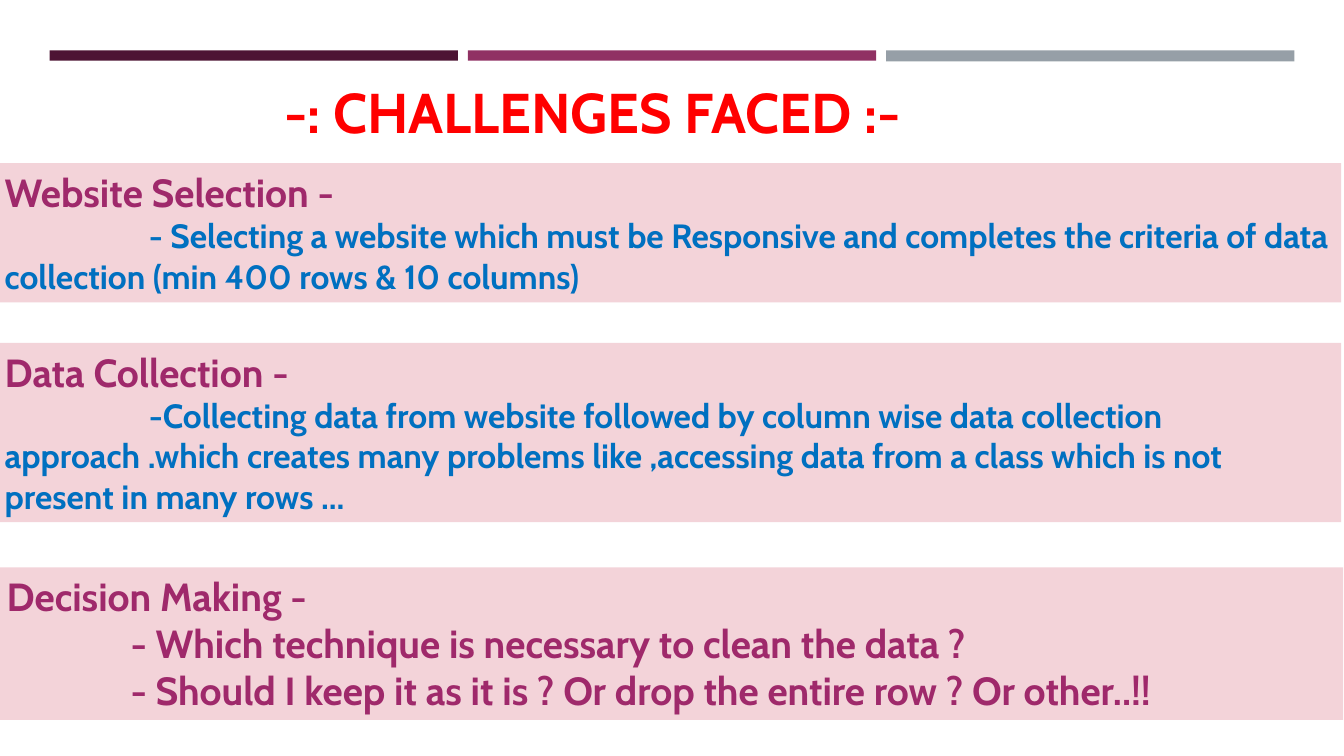
import dataclasses

import pptx
import pptx.dml.color
import pptx.enum.shapes
import pptx.enum.text
import pptx.util

Cm = pptx.util.Cm
Pt = pptx.util.Pt
FONT = "Cabin"
RED, PLUM, BLUE, PINK = "FF0000", "9F296B", "0070C0", "F3D3D9"


@dataclasses.dataclass
class Bar:
    color: str
    height: float


@dataclasses.dataclass
class Panel:
    heading: str
    details: list[str]
    left: float
    top: float
    height: float
    indent: float
    detail_size: int = 24
    detail_color: str = BLUE
    right_inset: float = 0.25


BARS = [Bar("4D1434", 0.26), Bar("903163", 0.26), Bar("969FA7", 0.28)]
BAR_LEFT, BAR_STEP, BAR_WIDTH, BAR_TOP = 1.25, 10.54, 10.29, 1.27
PANEL_WIDTH = 33.93

PANELS = [
    Panel(
        "Website Selection -",
        ["- Selecting a website which must be Responsive and completes the criteria "
         "of data collection (min 400 rows & 10 columns)"],
        left=-0.13, top=4.11, height=3.51, indent=3.63,
    ),
    Panel(
        "Data Collection -",
        ["-Collecting data from website followed by column wise data collection "
         "approach .which creates many problems like ,accessing data from a class "
         "which is not present in many rows ..."],
        left=-0.13, top=8.64, height=4.52, indent=3.63, right_inset=1.5,
    ),
    Panel(
        "Decision Making -",
        ["- Which technique is necessary to clean the data ?",
         "- Should I keep it as it is ? Or drop the entire row ? Or other..!!"],
        left=-0.08, top=14.3, height=3.84, indent=3.12,
        detail_size=28, detail_color=PLUM,
    ),
]


def rgb(color: str) -> pptx.dml.color.RGBColor:
    return pptx.dml.color.RGBColor.from_string(color)


def format_paragraph(para, size: int, color: str) -> None:
    para.alignment = pptx.enum.text.PP_ALIGN.LEFT
    for span in para.runs:
        span.font.name = FONT
        span.font.size = Pt(size)
        span.font.bold = True
        span.font.color.rgb = rgb(color)


def prepare_frame(frame, right_inset: float = 0.25) -> None:
    frame.word_wrap = True
    frame.auto_size = pptx.enum.text.MSO_AUTO_SIZE.NONE
    frame.vertical_anchor = pptx.enum.text.MSO_ANCHOR.TOP
    frame.margin_left = Cm(0.25)
    frame.margin_right = Cm(right_inset)
    frame.margin_top = frame.margin_bottom = Cm(0.13)


def add_rectangle(page, left: float, top: float, width: float, height: float, color: str):
    box = page.shapes.add_shape(
        pptx.enum.shapes.MSO_SHAPE.RECTANGLE, Cm(left), Cm(top), Cm(width), Cm(height)
    )
    box.shadow.inherit = False
    box.fill.solid()
    box.fill.fore_color.rgb = rgb(color)
    box.line.fill.background()
    return box


def add_title(page, text: str) -> None:
    title = page.shapes.title
    title.left, title.top, title.width, title.height = Cm(6.91), Cm(1.83), Cm(22.56), Cm(1.96)
    title.text_frame.text = text
    prepare_frame(title.text_frame)
    format_paragraph(title.text_frame.paragraphs[0], 40, RED)


def add_panel(page, panel: Panel) -> None:
    box = add_rectangle(page, panel.left, panel.top, PANEL_WIDTH, panel.height, PINK)
    frame = box.text_frame
    prepare_frame(frame, panel.right_inset)
    frame.text = "\n".join([panel.heading, *panel.details])
    heading, *details = frame.paragraphs
    format_paragraph(heading, 28, PLUM)
    for para in details:
        para._p.get_or_add_pPr().set("indent", str(Cm(panel.indent)))
        format_paragraph(para, panel.detail_size, panel.detail_color)


def main() -> None:
    deck = pptx.Presentation()
    deck.slide_width, deck.slide_height = Cm(33.87), Cm(19.05)
    page = deck.slides.add_slide(deck.slide_layouts.get_by_name("Title Only"))
    for index, bar in enumerate(BARS):
        left = BAR_LEFT + index * BAR_STEP
        add_rectangle(page, left, BAR_TOP, BAR_WIDTH, bar.height, bar.color)
    add_title(page, "-: CHALLENGES FACED :-")
    for panel in PANELS:
        add_panel(page, panel)
    deck.save("out.pptx")


if __name__ == "__main__":
    main()
